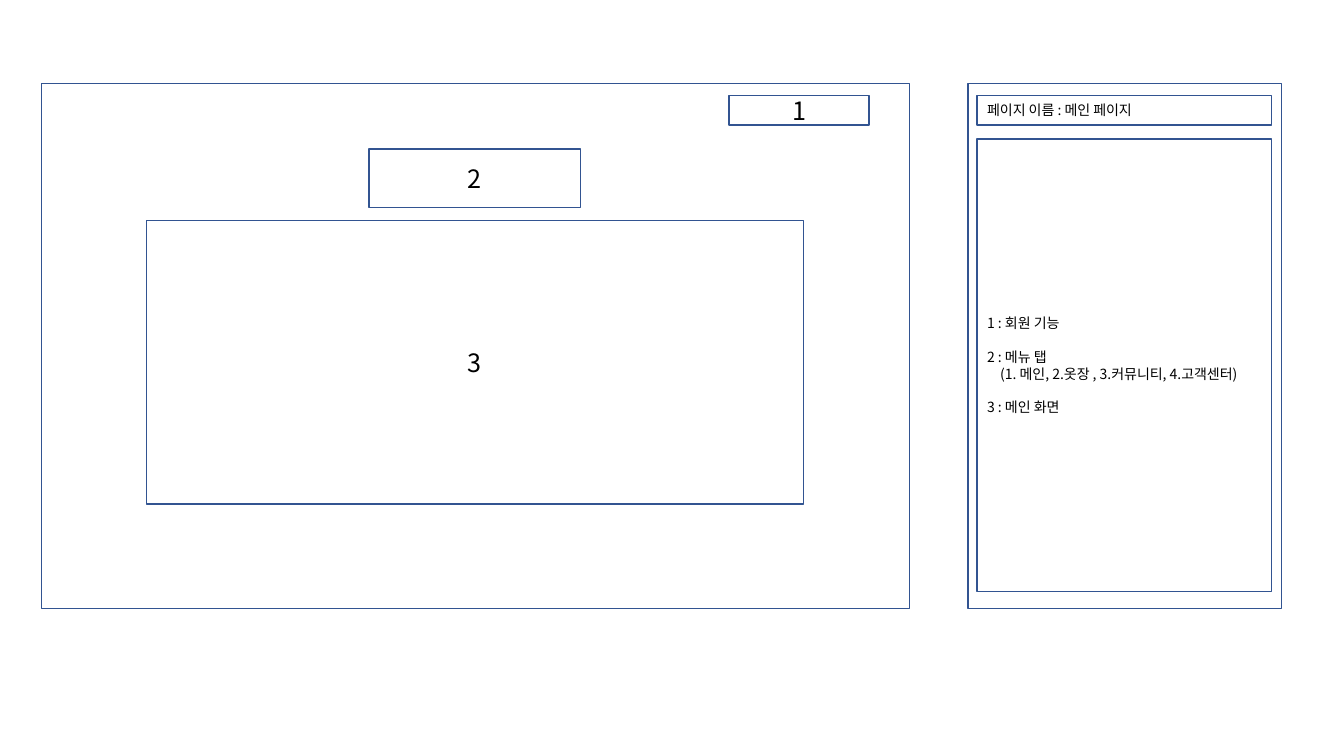
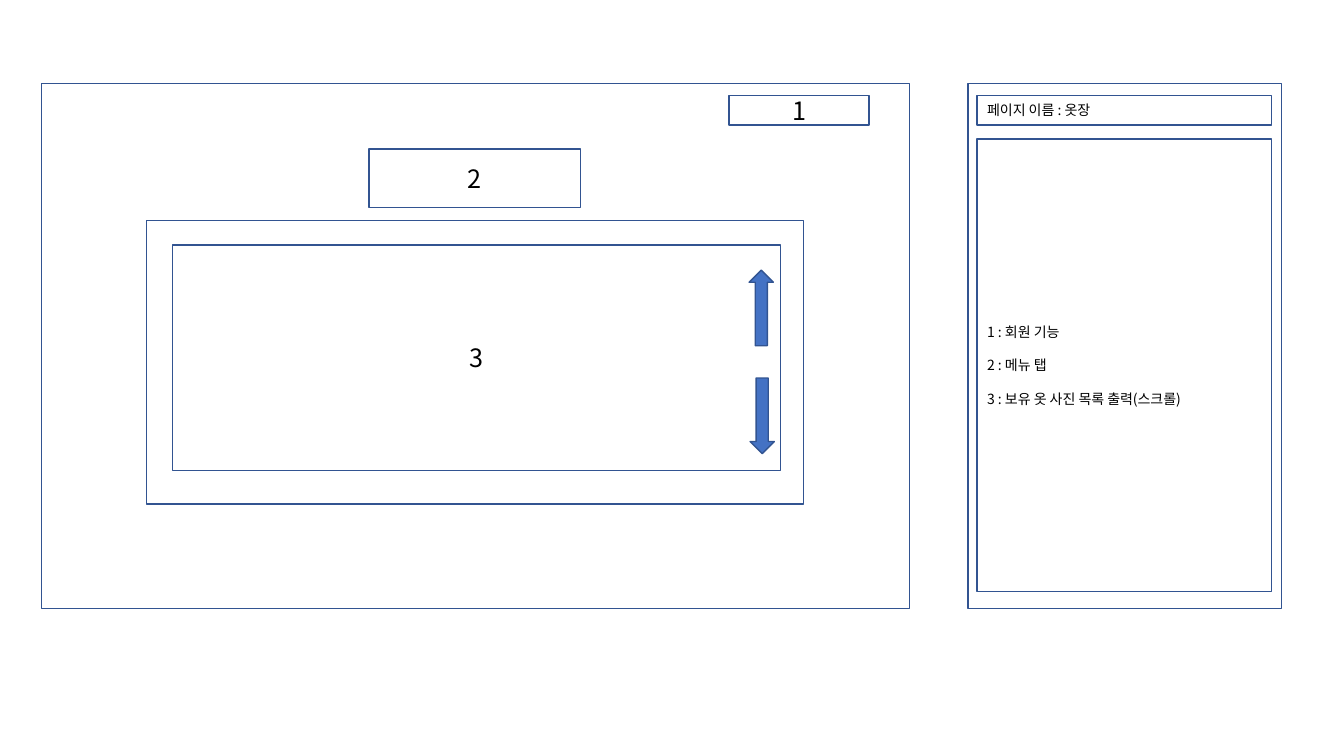
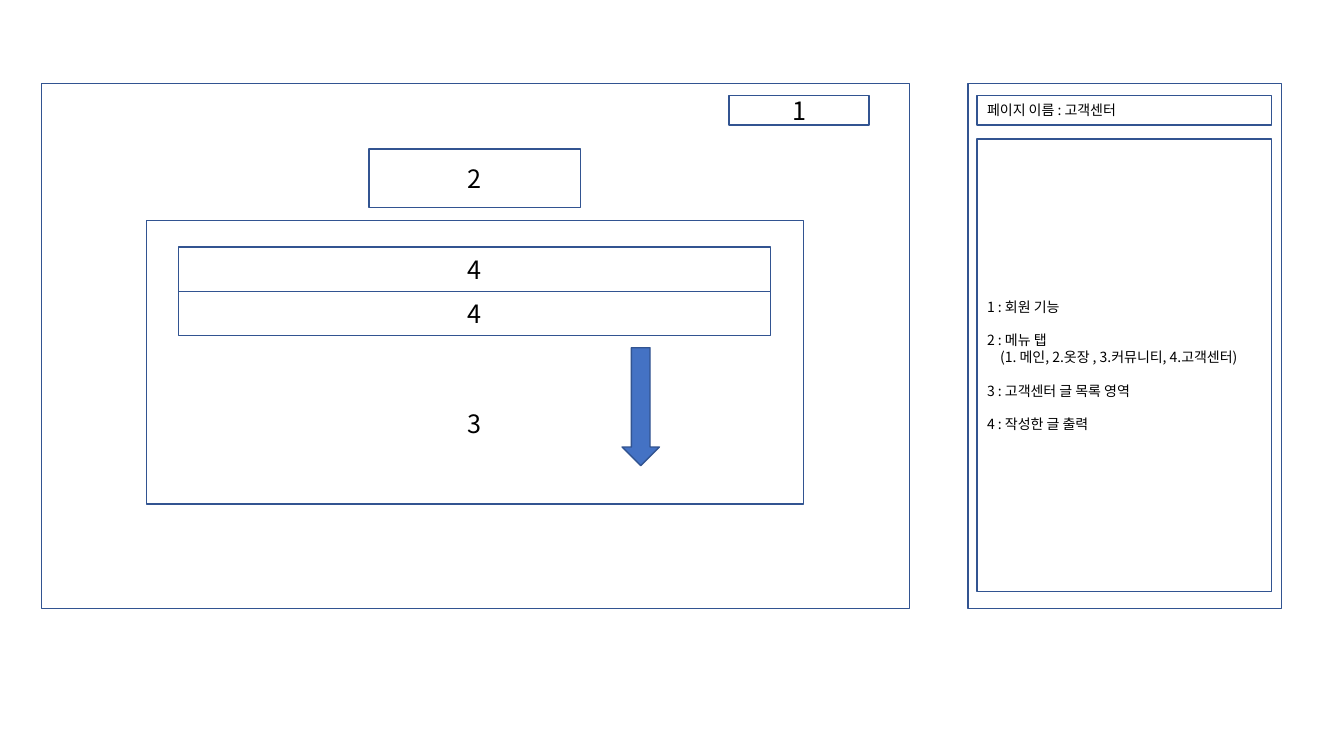
"""Build three wireframe slides of a wardrobe site, each with a side panel of notes."""
from lxml.etree import SubElement
from pptx import Presentation
from pptx.dml.color import RGBColor
from pptx.enum.shapes import MSO_SHAPE
from pptx.enum.text import MSO_ANCHOR, MSO_AUTO_SIZE, PP_ALIGN
from pptx.oxml.ns import qn
from pptx.util import Inches, Pt

WHITE = RGBColor(0xFF, 0xFF, 0xFF)
BLACK = RGBColor(0, 0, 0)
NAVY = RGBColor(0x32, 0x54, 0x91)
BLUE = RGBColor(0x44, 0x72, 0xC4)
FONT = "Noto Sans CJK KR"

USER = "1 : 회원 기능"
MENU = "2 : 메뉴 탭"
TABS = "(1. 메인, 2.옷장 , 3.커뮤니티, 4.고객센터)"

PAGES = [
    {
        "name": "메인 페이지",
        "notes": [USER, MENU, TABS, "3 : 메인 화면"],
        "main": "3",
        "boxes": [],
        "arrows": [],
    },
    {
        "name": "옷장",
        "notes": [USER, MENU, "3 : 보유 옷 사진 목록 출력(스크롤)"],
        "main": "",
        "boxes": [(1.71, 2.43, 6.03, 2.24, "3")],
        "arrows": [(7.44, 3.75, 0.24, 0.75, 0), (7.43, 2.68, 0.24, 0.75, 180)],
    },
    {
        "name": "고객센터",
        "notes": [USER, MENU, TABS, "3 : 고객센터 글 목록 영역", "4 : 작성한 글 출력"],
        "main": "3",
        "boxes": [(1.77, 2.45 + row * 0.44, 5.87, 0.44, "4") for row in range(2)],
        "arrows": [(6.17, 3.45, 0.37, 1.17, 0)],
    },
]


def style(shape, lines, size, align, fill=WHITE):
    """Outline and fill a shape, then write its lines."""
    shape.fill.solid()
    shape.fill.fore_color.rgb = fill
    shape.line.color.rgb = NAVY
    shape.line.width = Pt(1)
    frame = shape.text_frame
    frame.word_wrap = True
    frame.auto_size = MSO_AUTO_SIZE.NONE
    frame.vertical_anchor = MSO_ANCHOR.MIDDLE
    frame.text = "\n".join(lines)
    for rank, para in enumerate(frame.paragraphs):
        tabs = para.text == TABS
        para.alignment = align
        para.line_spacing = Pt(size * 1.2)
        para.space_before = Pt(12 if rank and not tabs else 0)
        para.font.size = Pt(size)
        para.font.name = FONT
        para.font.color.rgb = BLACK
        SubElement(para.font._rPr, qn("a:ea"), typeface=FONT)
        props = para._p.get_or_add_pPr()
        props.set("marL", "0")
        props.set("indent", str(Inches(0.13 if tabs else 0)))
        props.insert_element_before(props.makeelement(qn("a:buNone"), {}), "a:defRPr")


def draw(slide, kind, area, text="", fill=WHITE):
    """Add a preset shape with centred text."""
    shape = slide.shapes.add_shape(kind, *map(Inches, area))
    shape.shadow.inherit = False
    style(shape, [text], 18, PP_ALIGN.CENTER, fill)
    return shape


deck = Presentation()
deck.slide_width = Inches(13.33)
deck.slide_height = Inches(7.5)

for page in PAGES:
    slide = deck.slides.add_slide(deck.slide_layouts[1])
    title, notes = slide.placeholders
    for holder, top, height, lines in [
        (title, 0.95, 0.29, ["페이지 이름 : " + page["name"]]),
        (notes, 1.38, 4.49, page["notes"]),
    ]:
        holder.left, holder.top = Inches(9.69), Inches(top)
        holder.width, holder.height = Inches(2.92), Inches(height)
        style(holder, lines, 10, PP_ALIGN.LEFT)

    panel = draw(slide, MSO_SHAPE.RECTANGLE, (9.6, 0.83, 3.11, 5.21))
    panel.fill.background()
    draw(slide, MSO_SHAPE.RECTANGLE, (0.41, 0.83, 8.61, 5.21))
    main = draw(slide, MSO_SHAPE.RECTANGLE, (1.45, 2.19, 6.52, 2.81), page["main"])
    if page["main"] and page["boxes"]:
        main.text_frame.margin_top = Inches(1.25)
    draw(slide, MSO_SHAPE.RECTANGLE, (3.66, 1.48, 2.1, 0.58), "2")
    draw(slide, MSO_SHAPE.RECTANGLE, (7.23, 0.95, 1.39, 0.29), "1")
    for *area, text in page["boxes"]:
        draw(slide, MSO_SHAPE.RECTANGLE, area, text)
    for *area, turn in page["arrows"]:
        arrow = draw(slide, MSO_SHAPE.DOWN_ARROW, area, fill=BLUE)
        arrow.rotation = turn

deck.save("out.pptx")
